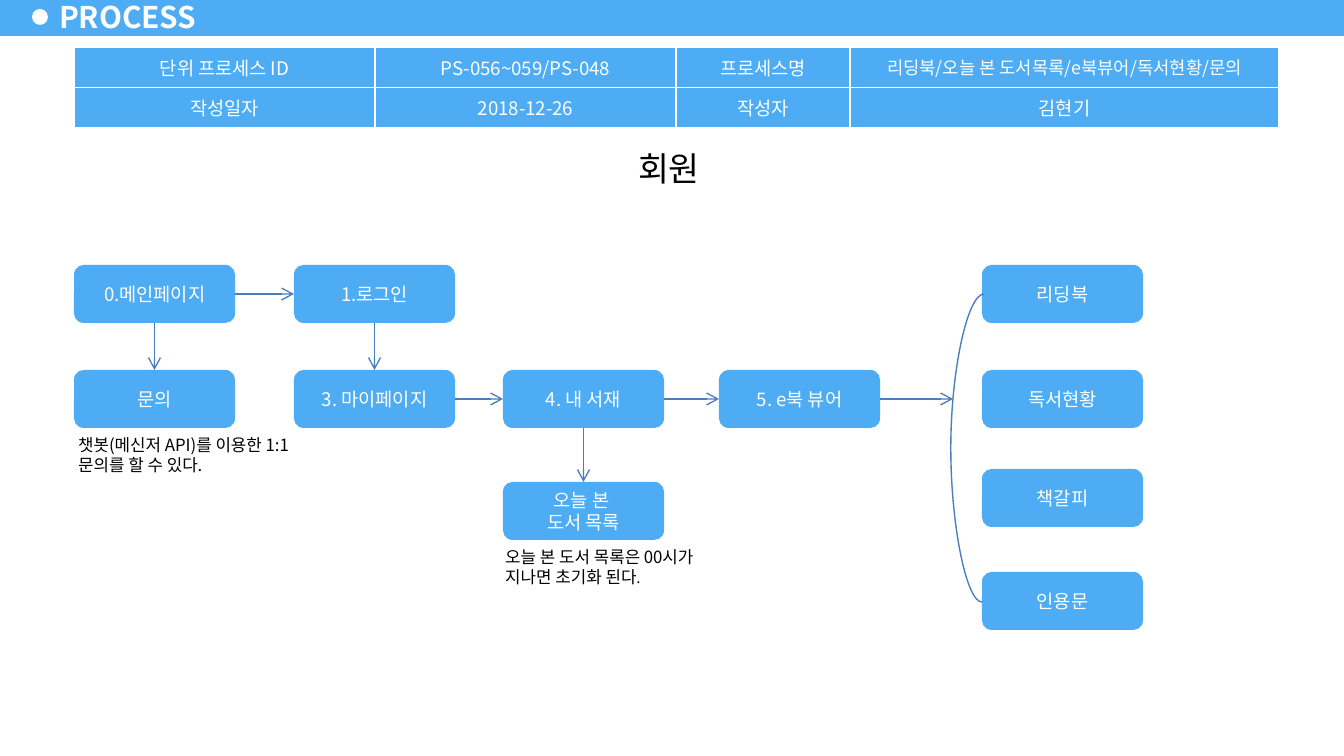
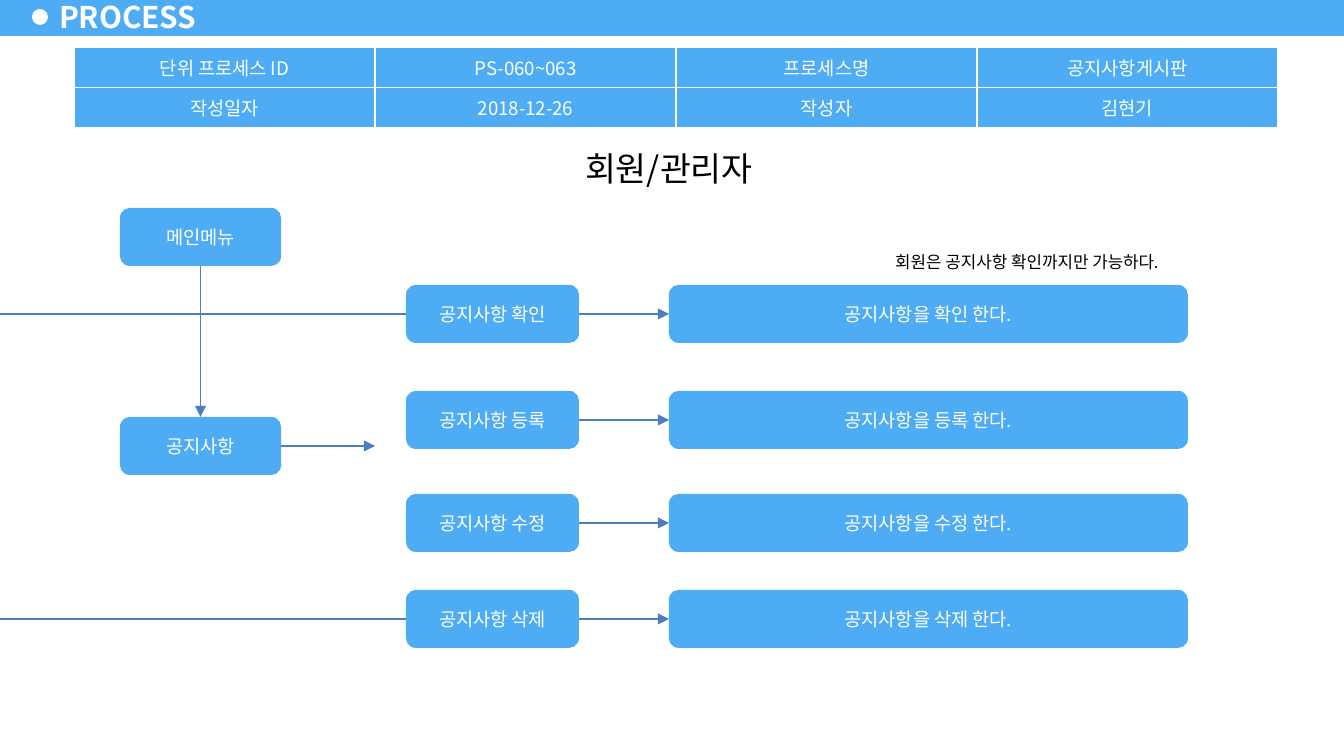
from lxml import etree
from pptx import Presentation
from pptx import util as u
from pptx.dml.color import RGBColor
from pptx.enum import shapes as sh, text as tx
from pptx.oxml.ns import qn

# Shared look
SCALE = 914400 / 134.4
FONT = "Noto Sans CJK KR"
BLUE = RGBColor(0x4D, 0xAC, 0xF3)
LINE = RGBColor(0x4B, 0x7E, 0xBC)
WHITE = RGBColor(255, 255, 255)
BLACK = RGBColor(0, 0, 0)
LEFT, MID = tx.PP_ALIGN.LEFT, tx.PP_ALIGN.CENTER
RECT = sh.MSO_SHAPE.RECTANGLE
ROUND = sh.MSO_SHAPE.ROUNDED_RECTANGLE
KIND = sh.MSO_CONNECTOR
TOP, WEST, FOOT, EAST = range(4)  # connection sites of a box
BOX_W, BOX_H = 161, 58


def px(*vals):
    return [u.Emu(round(v * SCALE)) for v in vals]


def sub(parent, tag, **attrs):
    return etree.SubElement(parent, qn(tag), **attrs)


# Text
def write(frame, text, size=10, color=WHITE, bold=False, align=MID, end=None):
    """Fill a frame, one paragraph a line; end is (text, size) of a last run."""
    for i, line in enumerate(text.split("\n")):
        para = frame.add_paragraph() if i else frame.paragraphs[0]
        para.alignment = align
        for part, pts in [(line, size)] + ([end] if end else []):
            run = para.add_run()
            run.text = part
            font = run.font
            font.name, font.size, font.bold = FONT, u.Pt(pts), bold
            font.color.rgb = color
            sub(font._element, "a:ea", typeface=FONT)


def note(slide, text, at, wrap=True, end=None):
    frame = slide.shapes.add_textbox(*px(*at)).text_frame
    frame.word_wrap = wrap
    frame.auto_size = tx.MSO_AUTO_SIZE.SHAPE_TO_FIT_TEXT
    write(frame, text, size=9, color=BLACK, align=LEFT, end=end)


# Shapes
def shape(slide, kind, at, fill=BLUE):
    item = slide.shapes.add_shape(kind, *px(*at))
    item.shadow.inherit = False
    item.fill.solid()
    item.fill.fore_color.rgb = fill
    item.line.fill.background()
    return item


def box(slide, text, x, y, w=BOX_W):
    item = shape(slide, ROUND, (x, y, w, BOX_H))
    item.text_frame.word_wrap = True
    item.text_frame.vertical_anchor = tx.MSO_ANCHOR.MIDDLE
    write(item.text_frame, text)
    return item


def line(slide, start, end, head=None, kind=KIND.STRAIGHT):
    item = slide.shapes.add_connector(kind, *px(*start, *end))
    item.line.color.rgb = LINE
    item.line.width = u.Pt(0.75)
    if head:
        sub(item.line._get_or_add_ln(), "a:tailEnd", type=head)
    sub(item._element.spPr, "a:effectLst")
    return item


def link(slide, a, b, head, down=False, kind=KIND.STRAIGHT):
    item = line(slide, (0, 0), (0, 0), head, kind)
    item.begin_connect(a, FOOT if down else EAST)
    item.end_connect(b, TOP if down else WEST)


def curve(slide, x, y, h, depth):
    """Arc that bulges to the left by depth."""
    item = line(slide, (x, y), (x + 2, y + h), kind=KIND.CURVE)
    xfrm = item._element.spPr.find(qn("a:xfrm"))
    xfrm.set("rot", "10800000")
    xfrm.set("flipV", "1")
    guides = item._element.spPr.find(qn("a:prstGeom")).find(qn("a:avLst"))
    sub(guides, "a:gd", name="adj1", fmla=f"val {depth * 50000}")


# Table
def edge(cell):
    props = cell._tc.get_or_add_tcPr()
    for i, side in enumerate(("a:lnL", "a:lnR", "a:lnT", "a:lnB")):
        rule = etree.Element(qn(side), w="12700")
        sub(sub(rule, "a:solidFill"), "a:srgbClr", val=str(WHITE))
        props.insert(i, rule)


def table(slide, rows, widths, small=()):
    grid = slide.shapes.add_table(
        len(rows), len(widths), *px(74, 47, sum(widths), 38 * len(rows))).table
    for col, width in zip(grid.columns, widths):
        col.width = px(width)[0]
    for r, row in enumerate(rows):
        for c, text in enumerate(row):
            cell = grid.cell(r, c)
            cell.fill.solid()
            cell.fill.fore_color.rgb = BLUE
            cell.vertical_anchor = tx.MSO_ANCHOR.MIDDLE
            write(cell.text_frame, text, size=9.5 if (r, c) in small else 10)
            edge(cell)


# Band on the layout, page with title, table and heading
def band(slide, layout):
    bar = shape(slide, RECT, (0, -2, 1344, 38))
    dot = shape(slide, sh.MSO_SHAPE.OVAL, (32, 9, 16, 16), WHITE)
    for i, item in enumerate((bar, dot)):
        layout.shapes._spTree.insert(2 + i, item._element)


def page(deck, ident, name, head, widths, small=()):
    slide = deck.slides.add_slide(deck.slide_layouts[5])
    title = slide.shapes.title
    title.left, title.top, title.width, title.height = px(47, -5, 164, 43)
    frame = title.text_frame
    frame.margin_left = frame.margin_right = u.Inches(0.09)
    frame.margin_top = frame.margin_bottom = u.Inches(0.04)
    frame.vertical_anchor = tx.MSO_ANCHOR.MIDDLE
    write(frame, "PROCESS", size=16, bold=True, align=LEFT)
    table(slide, [("단위 프로세스 ID", ident, "프로세스명", name),
                  ("작성일자", "2018-12-26", "작성자", "김현기")], widths, small)
    frame = shape(slide, RECT, (530, 141, 278, 55), WHITE).text_frame
    frame.word_wrap = True
    frame.vertical_anchor = tx.MSO_ANCHOR.TOP
    frame.auto_size = tx.MSO_AUTO_SIZE.SHAPE_TO_FIT_TEXT
    write(frame, head, size=18, color=BLACK)
    return slide


def member(deck):
    slide = page(deck, "PS-056~059/PS-048",
                 "리딩북/오늘 본 도서목록/e북뷰어/독서현황/문의", "회원",
                 (301, 301, 174, 429), small=[(0, 3)])
    # Steps
    main_box = box(slide, "0.메인페이지", 74, 265)
    login = box(slide, "1.로그인", 294, 265)
    ask = box(slide, "문의", 74, 370)
    mine = box(slide, "3. 마이페이지", 294, 370)
    shelf = box(slide, "4. 내 서재", 503, 370)
    view = box(slide, "5. e북 뷰어", 719, 370)
    today = box(slide, "오늘 본 \n도서 목록", 503, 482)
    for a, b in ((main_box, login), (mine, shelf), (shelf, view)):
        link(slide, a, b, "arrow")
    for a, b in ((main_box, ask), (login, mine), (shelf, today)):
        link(slide, a, b, "arrow", down=True)
    # Viewer items
    for text, y in (("리딩북", 265), ("독서현황", 370),
                    ("책갈피", 469), ("인용문", 572)):
        box(slide, text, 982, y)
    curve(slide, 982, 294, 308, 33)
    line(slide, (880, 399), (953, 399), "arrow")
    # Notes
    note(slide, "챗봇(메신저 API)를 이용한 1:1 문의를 할 수 있다.",
         (65, 428, 238, 54))
    note(slide, "오늘 본 도서 목록은 00시가 지나면 초기화 된다",
         (492, 540, 238, 54), end=(".", 8))
    return slide


def notice(deck):
    slide = page(deck, "PS-060~063", "공지사항게시판", "회원/관리자", (301,) * 4)
    # Menu
    menu = box(slide, "메인메뉴", 120, 208)
    board = box(slide, "공지사항", 120, 417)
    link(slide, menu, board, "triangle", down=True)
    line(slide, (281, 446), (375, 446), "triangle")
    # Actions
    for act, y in (("확인", 285), ("등록", 391), ("수정", 494), ("삭제", 590)):
        step = box(slide, f"공지사항 {act}", 406, y, 173)
        goal = box(slide, f"공지사항을 {act} 한다.", 669, y, 519)
        link(slide, step, goal, "triangle", kind=KIND.ELBOW)
    for y in (314, 619):
        line(slide, (0, y), (406, y))
    note(slide, "회원은 공지사항 확인까지만 가능하다.", (882, 245, 320, 34), wrap=False)


def main():
    deck = Presentation()
    deck.slide_width, deck.slide_height = px(1344, 756)
    first = member(deck)
    band(first, deck.slide_layouts[5])
    notice(deck)
    deck.save("out.pptx")


main()
